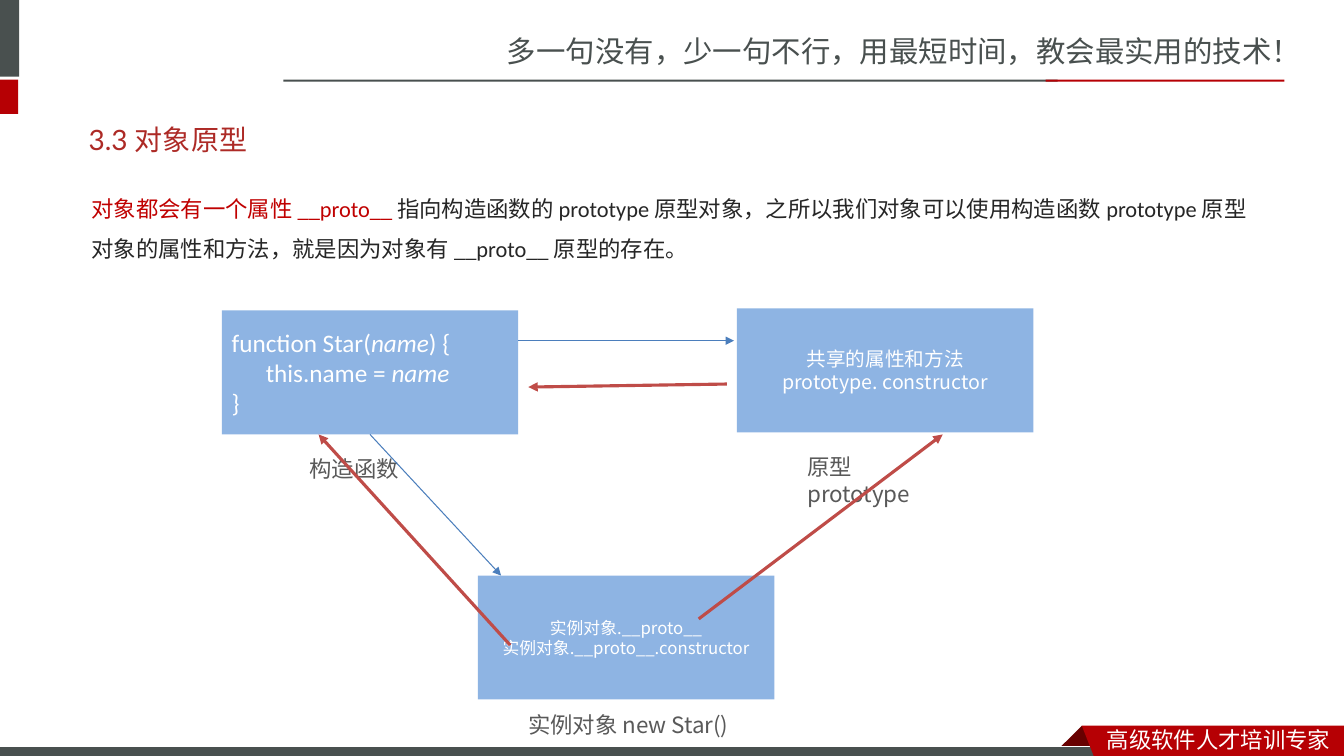
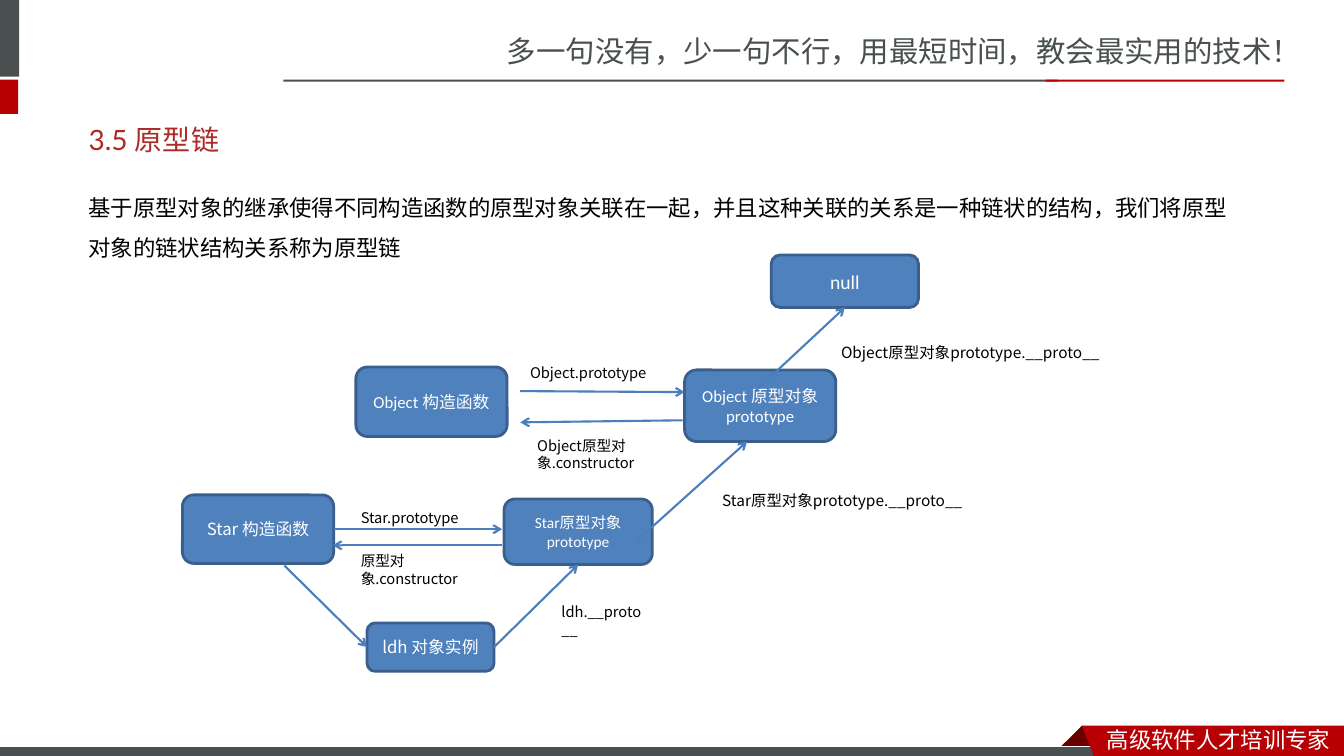
from dataclasses import dataclass, replace

from lxml.etree import SubElement
from pptx import Presentation
from pptx.dml.color import RGBColor
from pptx.enum.shapes import MSO_CONNECTOR as Connector, MSO_SHAPE as Preset
from pptx.enum.text import MSO_ANCHOR as Anchor, PP_ALIGN as Align
from pptx.oxml.ns import qn
from pptx.util import Emu, Pt

PX = 9144
TOP, LEFT, BOTTOM, RIGHT = range(4)
SANS = "Noto Sans CJK SC"
SANS_JP = "Noto Sans CJK JP"
LATIN = "Calibri"


@dataclass(frozen=True)
class Style:
    size: float
    font: str
    color: str
    italic: bool = False


@dataclass(frozen=True)
class Theme:
    gray: str = "49504F"
    red: str = "B60004"
    fold: str = "680000"
    white: str = "FFFFFF"
    pale_blue: str = "8EB4E3"
    node_blue: str = "4F81BD"
    node_edge: str = "3A5F8C"
    arrow_blue: str = "4B7EBC"
    arrow_red: str = "BF4C48"
    slogan: Style = Style(21, SANS, "49504F")
    footer: Style = Style(16, SANS, "FFFFFF")
    title: Style = Style(20, "Lato", "AD2A26")
    body: Style = Style(16, LATIN, "000000")
    body_soft: Style = Style(16, LATIN, "262626")
    body_key: Style = Style(16, LATIN, "C00000")
    code: Style = Style(18, LATIN, "FFFFFF")
    code_name: Style = Style(18, LATIN, "FFFFFF", True)
    box: Style = Style(14, SANS_JP, "FFFFFF")
    caption: Style = Style(16, SANS_JP, "595959")
    node: Style = Style(12, LATIN, "FFFFFF")
    label: Style = Style(10.5, SANS, "000000")


THEME = Theme()


def px(*values):
    return [Emu(value * PX) for value in values]


def rgb(color):
    return RGBColor.from_string(color)


def lines(style, *texts):
    return [[(text, style)] for text in texts]


def write(shape, paragraphs, align=Align.LEFT, anchor=Anchor.TOP, wrap=True, spacing=None):
    frame = shape.text_frame
    frame.word_wrap = wrap
    frame.vertical_anchor = anchor
    for index, runs in enumerate(paragraphs):
        paragraph = frame.add_paragraph() if index else frame.paragraphs[0]
        paragraph.alignment = align
        if spacing:
            paragraph.line_spacing = spacing
        for text, style in runs:
            run = paragraph.add_run()
            run.text = text
            run.font.size = Pt(style.size)
            run.font.italic = style.italic
            run.font.color.rgb = rgb(style.color)
            run.font.name = style.font
            east_asian = style.font if style.font.startswith("Noto") else SANS
            SubElement(run.font._element, qn("a:ea"), typeface=east_asian)


def add_text(slide, at, paragraphs, **options):
    write(slide.shapes.add_textbox(*px(*at)), paragraphs, **options)


def paint(shape, fill, edge=None, width=0.75):
    shape.shadow.inherit = False
    shape.fill.solid()
    shape.fill.fore_color.rgb = rgb(fill)
    if edge:
        shape.line.color.rgb = rgb(edge)
        shape.line.width = Pt(width)
    else:
        shape.line.fill.background()


def add_bar(slide, at, fill, edge=None):
    shape = slide.shapes.add_shape(Preset.RECTANGLE, *px(*at))
    paint(shape, fill, edge)
    return shape


def add_outline(slide, points, fill):
    builder = slide.shapes.build_freeform(*points[0], scale=PX)
    builder.add_line_segments(points[1:], close=True)
    paint(builder.convert_to_shape(), fill)


def add_box(slide, left, top, paragraphs, align=Align.CENTER):
    shape = add_bar(slide, (left, top, 294, 123), THEME.pale_blue)
    write(shape, paragraphs, align, Anchor.MIDDLE)
    return shape


def add_node(slide, at, *texts, **changes):
    shape = slide.shapes.add_shape(Preset.ROUNDED_RECTANGLE, *px(*at))
    paint(shape, THEME.node_blue, THEME.node_edge, 2)
    write(shape, lines(replace(THEME.node, **changes), *texts), Align.CENTER, Anchor.MIDDLE)
    return shape


def add_arrow(slide, start, end, color, width, head, begin=None, finish=None):
    connector = slide.shapes.add_connector(Connector.STRAIGHT, *px(*start, *end))
    if begin:
        connector.begin_connect(*begin)
    if finish:
        connector.end_connect(*finish)
    connector.line.color.rgb = rgb(color)
    connector.line.width = Pt(width)
    properties = connector.element.spPr
    SubElement(properties.find(qn("a:ln")), qn("a:tailEnd"), type=head)
    SubElement(properties, qn("a:effectLst"))


def add_frame(presentation, title):
    slide = presentation.slides.add_slide(presentation.slide_layouts[6])
    add_text(slide, (493, 28, 841, 47), lines(THEME.slogan, "多一句没有，少一句不行，用最短时间，教会最实用的技术！"))
    add_bar(slide, (-6, 0, 25, 76), THEME.gray)
    add_bar(slide, (-6, 79, 24, 34), THEME.red)
    add_bar(slide, (281, 79, 768, 2), THEME.gray)
    add_bar(slide, (1037, 79, 237, 2), THEME.red)
    add_outline(slide, [(1073, 720), (1095, 742), (1094, 743), (1052, 743), (1051, 742)], THEME.fold)
    add_bar(slide, (-1, 741, 1100, 12), THEME.gray, THEME.white)
    add_outline(slide, [(1073, 720), (1333, 720), (1333, 754), (1086, 753)], THEME.red)
    add_text(slide, (1088, 715, 245, 37), lines(THEME.footer, "高级软件人才培训专家"))
    add_text(slide, (78, 110, 1175, 57), lines(THEME.title, title), anchor=Anchor.MIDDLE)
    return slide


def build_prototype_slide(presentation):
    slide = add_frame(presentation, "3.3 对象原型")
    add_text(slide, (81, 175, 1172, 117), [[
        ("对象都会有一个属性 __proto__ ", THEME.body_key),
        ("指向构造函数的 prototype 原型对象，之所以我们对象可以使用构造函数 prototype "
         "原型对象的属性和方法，就是因为对象有 __proto__ 原型的存在。", THEME.body_soft),
    ]], spacing=1.5)

    code, name = THEME.code, THEME.code_name
    constructor = add_box(slide, 220, 308, [
        [("function Star(", code), ("name", name), (") {", code)],
        [("      this.name = ", code), ("name", name)],
        [("}", code)],
    ], Align.LEFT)
    add_box(slide, 731, 306, lines(THEME.box, "共享的属性和方法", "prototype. constructor"))
    add_box(slide, 474, 571, lines(
        replace(THEME.box, size=12), "实例对象.__proto__", "实例对象.__proto__.constructor"))

    for at, text, wrap in [
        ((297, 447, 109, 37), "构造函数", False),
        ((791, 445, 160, 37), "原型 prototype", True),
        ((514, 701, 224, 37), "实例对象 new Star()", False),
    ]:
        add_text(slide, at, lines(THEME.caption, text), wrap=wrap)

    thin = (THEME.arrow_blue, 0.75, "triangle")
    thick = (THEME.arrow_red, 2.25, "triangle")
    add_arrow(slide, (514, 338), (728, 338), *thin)
    add_arrow(slide, (367, 431), (497, 571), *thin, begin=(constructor, BOTTOM))
    add_arrow(slide, (693, 614), (935, 431), *thick)
    add_arrow(slide, (506, 640), (316, 431), *thick)
    add_arrow(slide, (721, 381), (524, 384), *thick)


def build_chain_slide(presentation):
    slide = add_frame(presentation, "3.5 原型链")
    add_text(slide, (78, 174, 1172, 79), lines(
        THEME.body,
        "基于原型对象的继承使得不同构造函数的原型对象关联在一起，并且这种关联的关系是一种链状的结构，"
        "我们将原型对象的链状结构关系称为原型链"), spacing=1.5)

    star = add_node(slide, (181, 491, 150, 68), "Star 构造函数", font=SANS)
    star_prototype = add_node(slide, (500, 495, 147, 65), "Star原型对象prototype", size=11)
    add_node(slide, (353, 364, 150, 69), "Object 构造函数")
    add_node(slide, (679, 367, 150, 71), "Object 原型对象", "prototype")
    null = add_node(slide, (765, 253, 146, 52), "null", size=14)
    instance = add_node(slide, (364, 618, 126, 48), "ldh 对象实例", font=SANS)

    for start, end, begin, finish in [
        ((282, 561), (364, 642), None, (instance, LEFT)),
        ((490, 642), (573, 560), (instance, RIGHT), (star_prototype, BOTTOM)),
        ((331, 525), (498, 525), (star, RIGHT), None),
        ((498, 541), (330, 541), None, None),
        ((631, 537), (741, 438), None, None),
        ((516, 388), (679, 389), None, None),
        ((677, 417), (516, 419), None, None),
        ((749, 388), (838, 305), None, (null, BOTTOM)),
    ]:
        add_arrow(slide, start, end, THEME.arrow_blue, 1.5, "arrow", begin, finish)

    for at, text in [
        ((547, 593, 105, 45), "ldh.__proto__"),
        ((348, 543, 154, 45), "原型对象.constructor"),
        ((348, 500, 135, 28), "Star.prototype"),
        ((516, 356, 146, 28), "Object.prototype"),
        ((523, 428, 199, 45), "Object原型对象.constructor"),
    ]:
        add_text(slide, at, lines(THEME.label, text))
    for at, text in [
        ((679, 482, 313, 29), "Star原型对象prototype.__proto__"),
        ((791, 335, 343, 29), "Object原型对象prototype.__proto__"),
    ]:
        add_text(slide, at, lines(replace(THEME.label, size=11), text), align=Align.CENTER)


def main():
    presentation = Presentation()
    presentation.slide_width, presentation.slide_height = px(1333, 750)
    build_prototype_slide(presentation)
    build_chain_slide(presentation)
    presentation.save("out.pptx")


if __name__ == "__main__":
    main()
